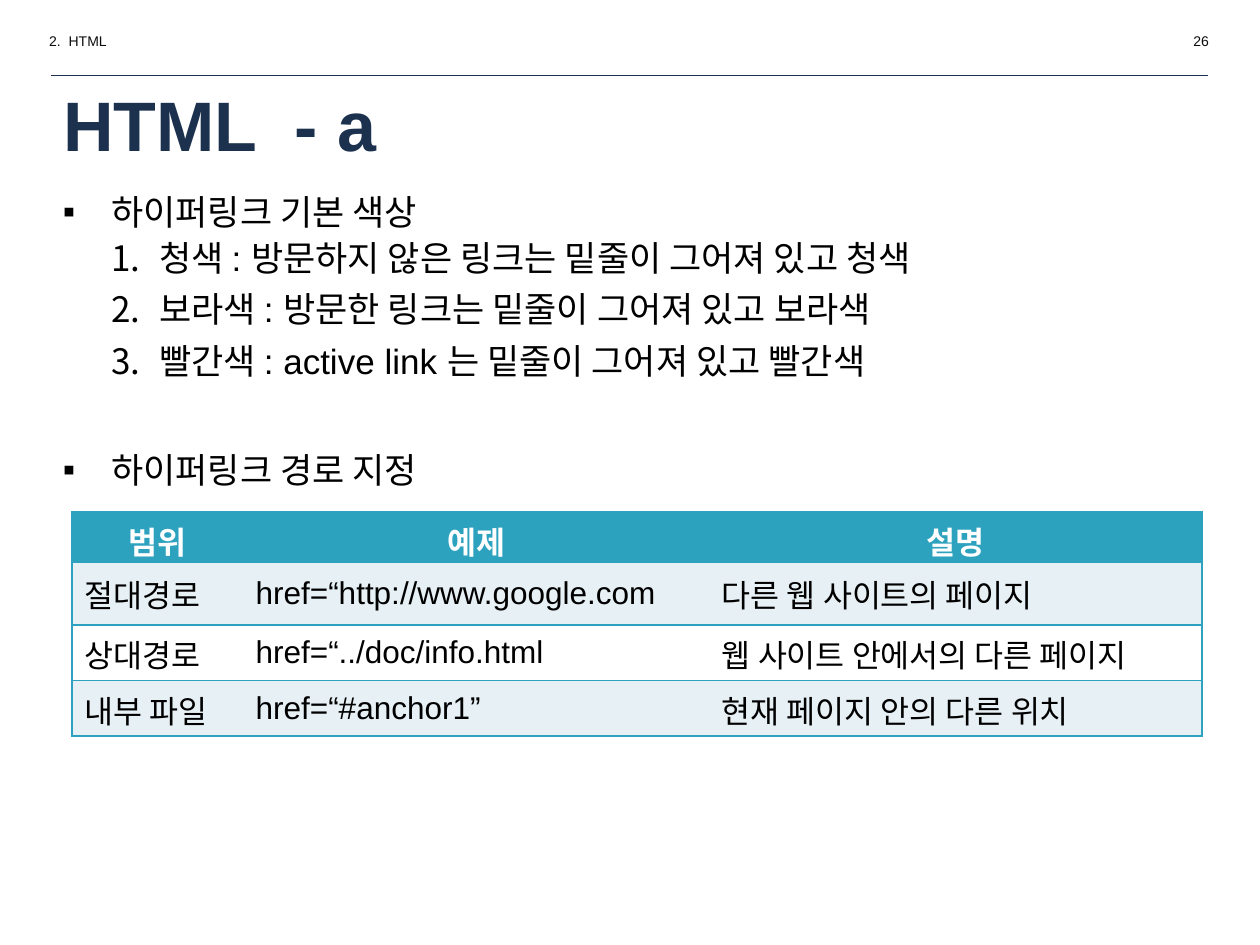
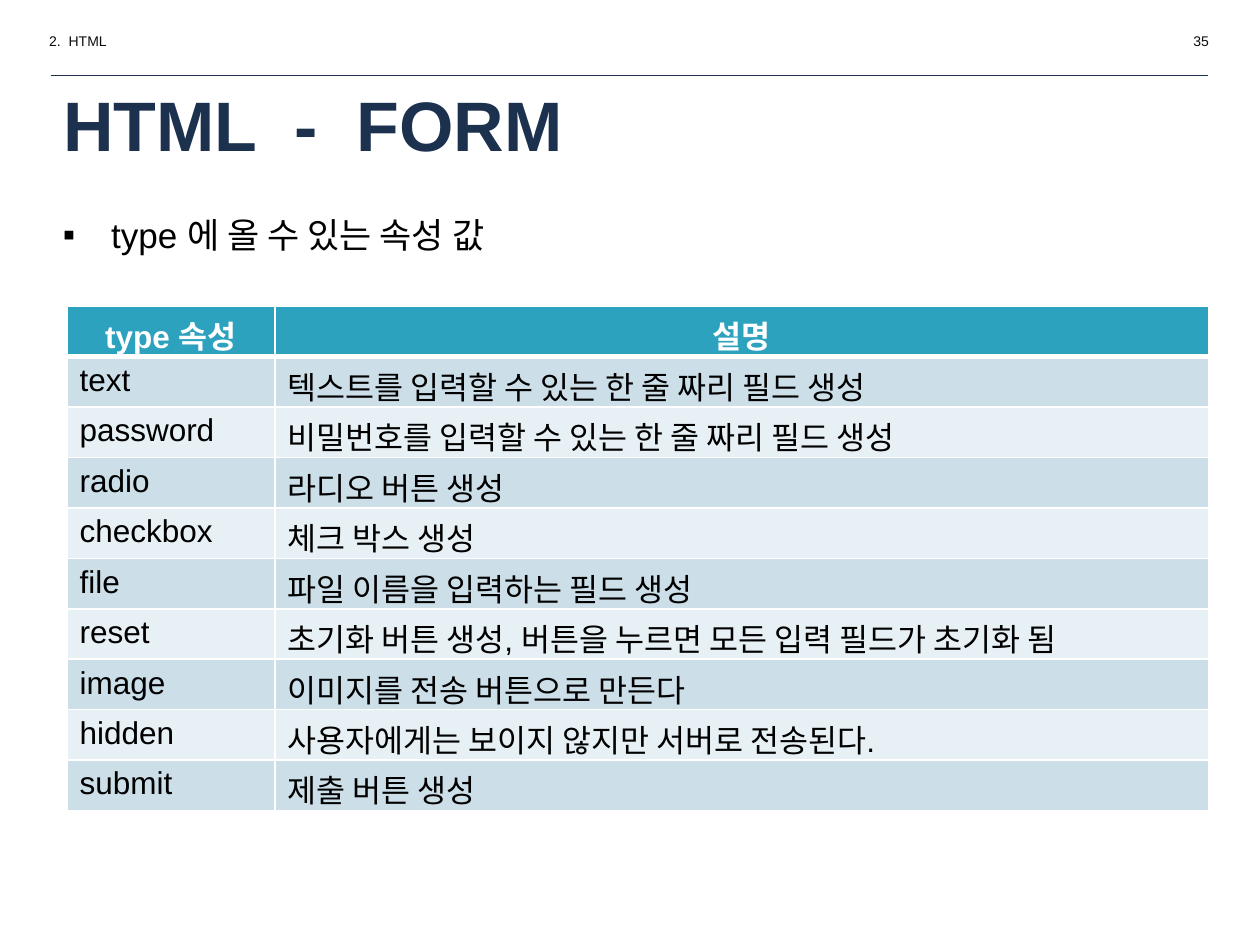
from lxml.etree import SubElement
from pptx import Presentation
from pptx.dml.color import RGBColor
from pptx.enum.shapes import MSO_CONNECTOR
from pptx.enum.text import MSO_ANCHOR, PP_ALIGN
from pptx.oxml.ns import qn
from pptx.util import Cm, Pt

NAVY = RGBColor(0x1C, 0x31, 0x4E)
INK = RGBColor(0x0C, 0x0C, 0x0C)
BLACK = RGBColor(0x00, 0x00, 0x00)
WHITE = RGBColor(0xFF, 0xFF, 0xFF)
TEAL = RGBColor(0x2D, 0xA2, 0xBF)
PALE = RGBColor(0xE7, 0xF0, 0xF4)
MIST = RGBColor(0xCC, 0xDF, 0xE8)

FONT = "Arial"
SECTION = "2.  HTML"
LEFT = 1.02
BULLET_INDENT = 0.97

LINK_COLORS = [
    "청색 : 방문하지 않은 링크는 밑줄이 그어져 있고 청색",
    "보라색 : 방문한 링크는 밑줄이 그어져 있고 보라색",
    "빨간색 : active link 는 밑줄이 그어져 있고 빨간색",
]
LINK_PATHS = [
    ("범위", "예제", "설명"),
    ("절대경로", "href=“http://www.google.com", "다른 웹 사이트의 페이지"),
    ("상대경로", "href=“../doc/info.html", "웹 사이트 안에서의 다른 페이지"),
    ("내부 파일", "href=“#anchor1”", "현재 페이지 안의 다른 위치"),
]
INPUT_TYPES = [
    ("type 속성", "설명"),
    ("text", "텍스트를 입력할 수 있는 한 줄 짜리 필드 생성"),
    ("password", "비밀번호를 입력할 수 있는 한 줄 짜리 필드 생성"),
    ("radio", "라디오 버튼 생성"),
    ("checkbox", "체크 박스 생성"),
    ("file", "파일 이름을 입력하는 필드 생성"),
    ("reset", "초기화 버튼 생성, 버튼을 누르면 모든 입력 필드가 초기화 됨"),
    ("image", "이미지를 전송 버튼으로 만든다"),
    ("hidden", "사용자에게는 보이지 않지만 서버로 전송된다."),
    ("submit", "제출 버튼 생성"),
]


def write(frame, text, size=20, color=BLACK, bold=False, align=PP_ALIGN.LEFT,
          mark=None, level=0, spacing=None, before=None):
    paragraph = frame.paragraphs[0]
    if paragraph.runs:
        paragraph = frame.add_paragraph()
    paragraph.alignment = align
    paragraph.level = level
    if spacing:
        paragraph.line_spacing = spacing
    if before:
        paragraph.space_before = Pt(before)
    if mark:
        properties = paragraph._p.get_or_add_pPr()
        properties.set("marL", str(Cm(BULLET_INDENT * (level + 1))))
        properties.set("indent", str(-Cm(BULLET_INDENT)))
        mark_color = SubElement(properties, qn("a:buClr"))
        SubElement(mark_color, qn("a:srgbClr"), val=str(color))
        SubElement(properties, qn("a:buFont"), typeface=FONT)
        if mark == "number":
            SubElement(properties, qn("a:buAutoNum"), type="arabicPeriod")
        else:
            SubElement(properties, qn("a:buChar"), char=mark)
    run = paragraph.add_run()
    run.text = text
    run.font.name = FONT
    run.font.size = Pt(size)
    run.font.bold = bold
    run.font.color.rgb = color


class Deck:
    def __init__(self):
        self.presentation = Presentation()
        self.presentation.slide_width = Cm(25.4)
        self.presentation.slide_height = Cm(19.05)
        self.slide = None

    def start(self, heading, page):
        layout = self.presentation.slide_layouts[5]
        self.slide = self.presentation.slides.add_slide(layout)
        write(self.text_box(0.74, 0.53, 4.4, 0.62), SECTION, size=8, color=INK)
        write(self.text_box(20.22, 0.53, 4.4, 0.62), page, size=8, color=INK,
              align=PP_ALIGN.RIGHT)
        self.rule(LEFT, 24.36, 1.52)
        self.title(heading)

    def title(self, heading):
        title = self.slide.shapes.title
        title.left, title.top = Cm(LEFT), Cm(1.68)
        title.width, title.height = Cm(23.24), Cm(1.63)
        title.text_frame.vertical_anchor = MSO_ANCHOR.MIDDLE
        write(title.text_frame, heading, size=40, color=NAVY, bold=True)

    def text_box(self, left, top, width, height):
        frame = self.slide.shapes.add_textbox(
            Cm(left), Cm(top), Cm(width), Cm(height)).text_frame
        frame.word_wrap = True
        return frame

    def rule(self, start, end, top):
        rule = self.slide.shapes.add_connector(
            MSO_CONNECTOR.STRAIGHT, Cm(start), Cm(top), Cm(end), Cm(top))
        rule.line.color.rgb = NAVY
        rule.line.width = Pt(0.75)
        SubElement(rule._element.spPr, qn("a:effectLst"))

    def border(self, cell, side, color, width):
        line = SubElement(cell._tc.get_or_add_tcPr(), qn(f"a:ln{side}"),
                          w=str(Pt(width)))
        if width:
            fill = SubElement(line, qn("a:solidFill"))
            SubElement(fill, qn("a:srgbClr"), val=str(color))
        else:
            SubElement(line, qn("a:noFill"))

    def table(self, rows, left, top, widths, heights, bands, border,
              anchor=MSO_ANCHOR.TOP, column_rule=1, header_rule=1):
        table = self.slide.shapes.add_table(
            len(rows), len(widths), Cm(left), Cm(top),
            Cm(sum(widths)), Cm(sum(heights))).table
        table.horz_banding = False
        for column, width in zip(table.columns, widths):
            column.width = Cm(width)
        for row, height in zip(table.rows, heights):
            row.height = Cm(height)
        last = len(widths) - 1
        for r, texts in enumerate(rows):
            header = r == 0
            for c, text in enumerate(texts):
                cell = table.cell(r, c)
                edges = {
                    "L": 1 if c == 0 else column_rule,
                    "R": 1 if c == last else column_rule,
                    "T": header_rule if r == 1 else 1,
                    "B": header_rule if header else 1,
                }
                for side, width in edges.items():
                    self.border(cell, side, border, width)
                cell.fill.solid()
                cell.fill.fore_color.rgb = TEAL if header else bands[(r - 1) % 2]
                cell.vertical_anchor = anchor
                write(cell.text_frame, text, size=18, bold=header,
                      color=WHITE if header else BLACK,
                      align=PP_ALIGN.CENTER if header else PP_ALIGN.LEFT)


def main():
    deck = Deck()

    deck.start("HTML  - a", "26")
    links = deck.text_box(LEFT, 3.71, 22.8, 14.35)
    write(links, "하이퍼링크 기본 색상", mark="▪")
    for i, meaning in enumerate(LINK_COLORS):
        write(links, meaning, mark="number", level=1, spacing=1.1,
              before=3 if i else 0)
    write(links, "하이퍼링크 경로 지정", mark="▪", spacing=1.1, before=36)
    deck.table(LINK_PATHS, 1.45, 10.31, [3.45, 9.4, 9.93],
               [0.74, 1.27, 1.12, 1.12], bands=(PALE, WHITE), border=TEAL,
               anchor=MSO_ANCHOR.MIDDLE, column_rule=0)

    deck.start("HTML  -  FORM", "35")
    attributes = deck.text_box(LEFT, 4.17, 23.24, 1.12)
    write(attributes, "type 에 올 수 있는 속성 값", mark="▪")
    deck.table(INPUT_TYPES, 1.35, 6.17, [4.19, 18.82],
               [0.91] * len(INPUT_TYPES), bands=(MIST, PALE), border=WHITE,
               header_rule=3)

    deck.presentation.save("out.pptx")


if __name__ == "__main__":
    main()
